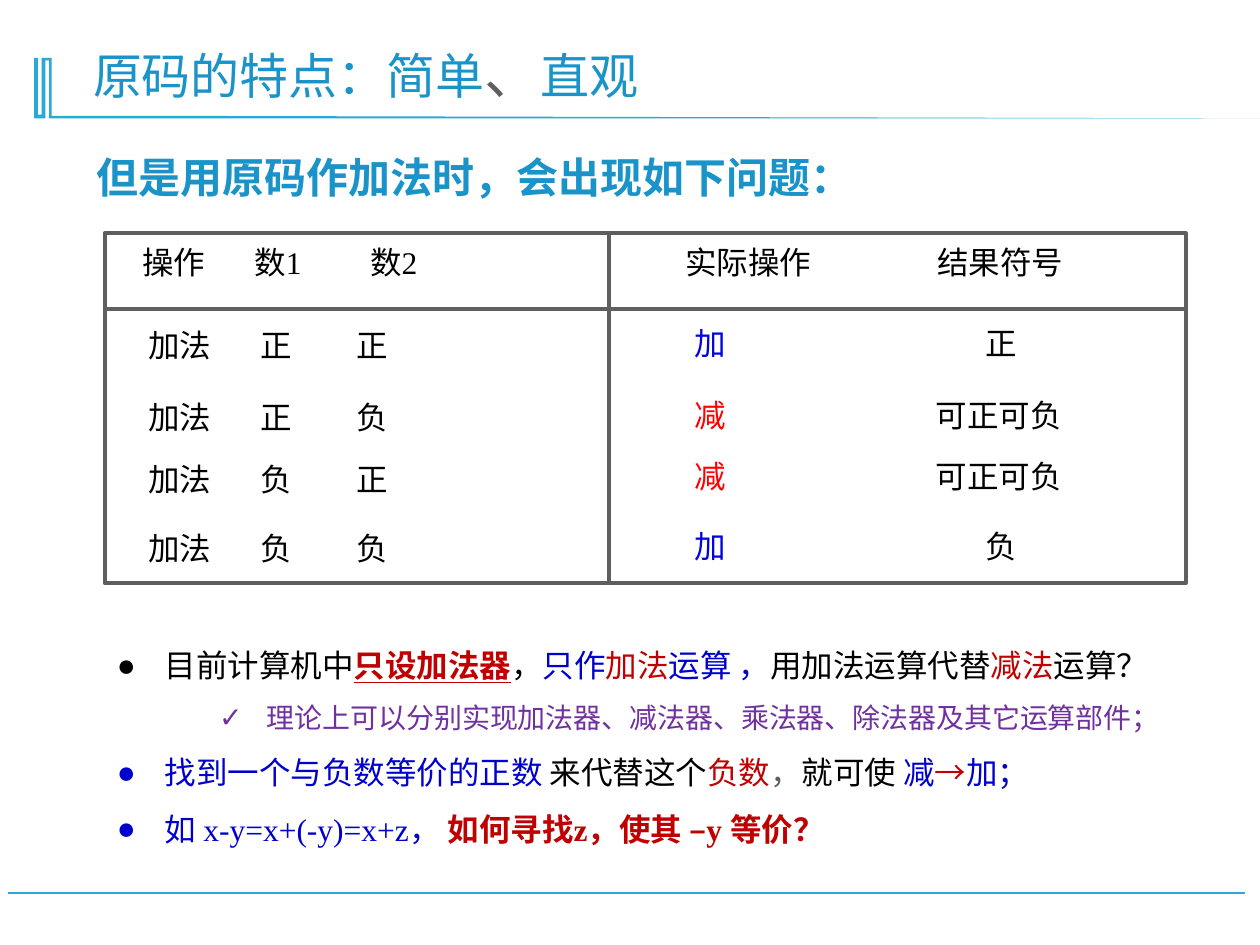
from lxml import etree
from pptx import Presentation, util as u
from pptx.dml.color import RGBColor
from pptx.enum import shapes, text
from pptx.oxml.ns import qn

SERIF = "Times New Roman"
SKY, TITLE, GREY, BLACK = "28A9D6", "1A93C8", "5F5F5F", "000000"
DEEP_RED, BLUE, PURPLE = "C00000", "0000CC", "7030A0"
ADD_BLUE, SUB_RED = "0303DF", "FF0000"

deck = Presentation()
deck.slide_width, deck.slide_height = u.Inches(10), u.Inches(7.5)
slide = deck.slides.add_slide(deck.slide_layouts[6])


def add_text(left, top, width, height, paragraphs, size=18, wrap=True, tabs=()):
    """Each paragraph is a list of runs: (words, colour, font changes)."""
    frame = slide.shapes.add_textbox(*map(u.Inches, (left, top, width, height))).text_frame
    frame.word_wrap = wrap
    for index, runs in enumerate(paragraphs):
        para = frame.add_paragraph() if index else frame.paragraphs[0]
        if tabs:
            stops = etree.SubElement(para._p.get_or_add_pPr(), qn("a:tabLst"))
            for stop in tabs:
                etree.SubElement(stops, qn("a:tab"), pos=str(u.Inches(stop)), algn="l")
        for words, colour, *changes in runs:
            run = para.add_run()
            run.text = words
            run.font.name, run.font.size = SERIF, u.Pt(size)
            run.font.color.rgb = RGBColor.from_string(colour)
            for name, value in (changes[0] if changes else {}).items():
                setattr(run.font, name, value)
    return frame


def add_line(x1, y1, x2, y2, colour, weight):
    line = slide.shapes.add_connector(
        shapes.MSO_CONNECTOR.STRAIGHT, *map(u.Inches, (x1, y1, x2, y2)))
    line.line.color.rgb = RGBColor.from_string(colour)
    line.line.width = u.Pt(weight)
    etree.SubElement(line._element.spPr, qn("a:effectLst"))


# Footer rule and title ornament
add_line(9.88, 7.09, 0.06, 7.09, SKY, 1.25)
outline = [(0.41, 0.46), (0.41, 0.92), (1.4, 0.92), (10.09, 0.94), (0.39, 0.94),
           (0.39, 0.48), (0.36, 0.48), (0.36, 0.94), (0.27, 0.94), (0.27, 0.46),
           (0.3, 0.46), (0.3, 0.91), (0.33, 0.91), (0.33, 0.46)]
corners = [(u.Inches(x), u.Inches(y)) for x, y in outline]
builder = slide.shapes.build_freeform(*corners[0])
builder.add_line_segments(corners[1:], close=True)
ornament = builder.convert_to_shape()
ornament.shadow.inherit = False
ornament.fill.solid()
ornament.fill.fore_color.rgb = RGBColor.from_string(SKY)
ornament.line.fill.background()

# Title and lead sentence
add_text(0.64, 0.26, 8.35, 0.64, [[
    ("原码的特点：", TITLE), ("简单", TITLE, {"name": "Arial"}),
    ("、", GREY, {"size": u.Pt(32)}), ("直观", TITLE, {"name": "Arial"})]], size=28)
add_text(0.67, 1.15, 6.29, 0.5,
         [[("但是用原码作加法时，会出现如下问题：", TITLE, {"bold": True})]], size=24, wrap=False)

# Conclusions
conclusions = [
    [("目前计算机中", BLACK), ("只设加法器", DEEP_RED, {"bold": True, "underline": True}),
     ("，", BLACK), ("只作", BLUE), ("加法", DEEP_RED), ("运算 ，", BLUE),
     ("用加法运算代替", BLACK), ("减法", DEEP_RED), ("运算？", BLACK)],
    [("理论上可以分别实现加法器、减法器、乘法器、除法器及其它运算部件；", PURPLE,
      {"size": u.Pt(16)})],
    [("找到一个与负数等价的正数 ", BLUE), ("来代替这个", BLACK), ("负数", DEEP_RED),
     ("，", GREY), ("就可使 ", BLACK), ("减", BLUE), ("→", DEEP_RED), ("加；", BLUE)],
    [("如 x-y=x+(-y)=x+z， ", BLUE),
     ("如何寻找z，使其 –y 等价？", DEEP_RED, {"bold": True})],
]
notes = add_text(0.83, 4.93, 8.71, 2.51, conclusions)
for para, level in zip(notes.paragraphs, (0, 1, 0, 0)):
    para.level, para.line_spacing = level, 1.5
    props = para._p.get_or_add_pPr()
    props.set("marL", str(u.Inches((0.38, 1.19)[level])))
    props.set("indent", str(u.Inches(-0.38)))
    etree.SubElement(props, qn("a:buFont"), typeface="Arial")
    etree.SubElement(props, qn("a:buChar"), char="●✓"[level])

# Table heading and frame
left, top, right, bottom = 0.83, 1.85, 9.41, 4.63
add_text(0.91, 1.88, 9.08, 0.4, [[("\t操作\t数1\t数2\t实际操作\t结果符号", BLACK)]],
         tabs=(0.12, 1.01, 1.93, 4.43, 6.43))
border = slide.shapes.add_shape(shapes.MSO_SHAPE.RECTANGLE, *map(
    u.Inches, (left, top, right - left, bottom - top)))
border.shadow.inherit = False
border.fill.background()
border.line.color.rgb = RGBColor.from_string(GREY)
border.line.width = u.Pt(2.25)
add_line(left, 2.45, right, 2.45, GREY, 2.25)
add_line(4.83, top, 4.83, bottom, GREY, 2.25)

# Table rows: top, first sign, second sign, real operation, its colour, sign of the result
cases = [
    (2.52, "正", "正", "加", ADD_BLUE, "正"),
    (3.09, "正", "负", "减", SUB_RED, "可正可负"),
    (3.58, "负", "正", "减", SUB_RED, "可正可负"),
    (4.13, "负", "负", "加", ADD_BLUE, "负"),
]
for row, first, second, operation, colour, sign in cases:
    add_text(1.08, row + 0.02, 2.22, 0.4, [[(f"加法\t{first}\t{second}", BLACK)]],
             tabs=(0.89, 1.65))
    add_text(5.41, row, 0.45, 0.4, [[(operation, colour)]], wrap=False)
    sign_left, sign_width = (7.72, 0.45) if len(sign) == 1 else (7.33, 1.21)
    add_text(sign_left, row, sign_width, 0.4, [[(sign, BLACK)]], wrap=False)

deck.save("out.pptx")
